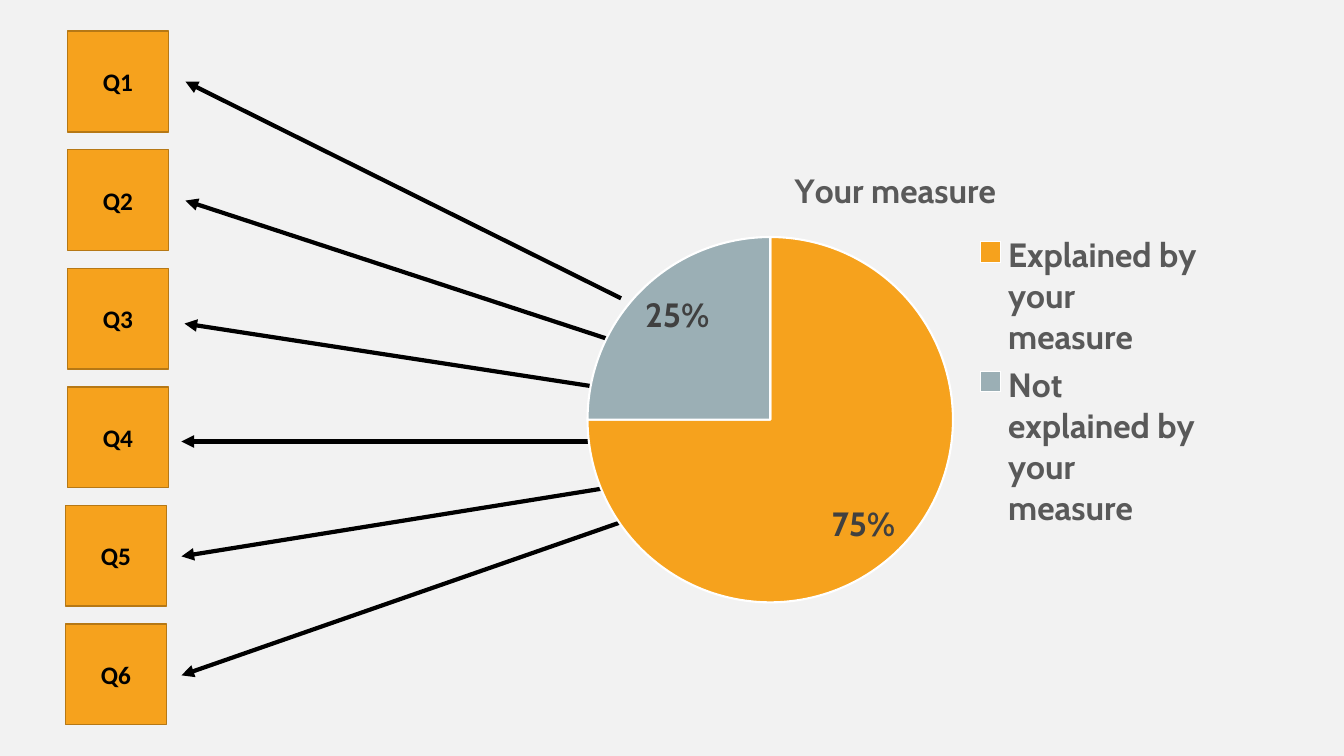
import pptx
import pptx.util
import pptx.chart.data
import pptx.dml.color
import pptx.enum.chart
import pptx.enum.shapes
import pptx.enum.text
import pptx.oxml
import pptx.oxml.ns

RGB = pptx.dml.color.RGBColor
PAPER = RGB(0xF2, 0xF2, 0xF2)
GOLD = RGB(0xF6, 0xA2, 0x1D)
BROWN = RGB(0xB6, 0x78, 0x15)
STEEL = RGB(0x9B, 0xAF, 0xB5)
BLACK = RGB(0, 0, 0)
WHITE = RGB(0xFF, 0xFF, 0xFF)
GREY = RGB(0x59, 0x59, 0x59)
DARK = RGB(0x40, 0x40, 0x40)

inch = pptx.util.Inches
point = pptx.util.Pt
WIDE, HIGH = 13.33, 7.5
ITEMS = ["Q1", "Q2", "Q3", "Q4", "Q5", "Q6"]
SHIFTS = [0, 0, 0, 0, -0.02, -0.02]
LINKS = [
    ((6.16, 2.96), (1.84, 0.81)),
    ((6.02, 3.36), (1.84, 1.99)),
    ((5.86, 3.83), (1.83, 3.21)),
    ((5.86, 4.38), (1.8, 4.38)),
    ((6.02, 4.84), (1.8, 5.52)),
    ((6.16, 5.18), (1.8, 6.7)),
]
SLICES = [
    ("Explained by your measure", 75, GOLD),
    ("Not explained by your measure", 25, STEEL),
]


def style(font, size=24, color=GREY, name="Cabin", bold=True):
    """Set the look of a font."""
    font.size = point(size)
    font.name = name
    font.bold = bold
    font.color.rgb = color


def write(frame, text, align=pptx.enum.text.PP_ALIGN.CENTER, **look):
    """Put one formatted line into a text frame."""
    para = frame.paragraphs[0]
    para.alignment = align
    run = para.add_run()
    run.text = text
    style(run.font, **look)


def add_items(slide, left, top, width, height):
    """Stack the question squares evenly down a column."""
    step = (height - width) / (len(ITEMS) - 1)
    for row, (item, shift) in enumerate(zip(ITEMS, SHIFTS)):
        box = slide.shapes.add_shape(
            pptx.enum.shapes.MSO_SHAPE.RECTANGLE,
            inch(left + shift), inch(top + row * step), inch(width), inch(width))
        box.shadow.inherit = False
        box.fill.solid()
        box.fill.fore_color.rgb = GOLD
        box.line.color.rgb = BROWN
        box.line.width = point(1)
        box.text_frame.vertical_anchor = pptx.enum.text.MSO_ANCHOR.MIDDLE
        write(box.text_frame, item, size=18, color=BLACK, name="Calibri")


def add_links(slide, left, top, width, height):
    """Draw the arrows from the pie to the squares, as shares of a box."""
    for ends in LINKS:
        spots = [(inch(left + width * x / WIDE), inch(top + height * y / HIGH))
                 for x, y in ends]
        link = slide.shapes.add_connector(
            pptx.enum.shapes.MSO_CONNECTOR.STRAIGHT, *spots[0], *spots[1])
        link.line.color.rgb = BLACK
        link.line.width = point(3)
        head = pptx.oxml.ns.qn("a:tailEnd")
        link.line._get_or_add_ln().append(
            link._element.makeelement(head, {"type": "triangle"}))
        link._element.spPr.append(
            link._element.makeelement(pptx.oxml.ns.qn("a:effectLst"), {}))


def place_plot(chart, **shares):
    """Fix the plot area at shares of the chart."""
    plot = chart._chartSpace.chart.plotArea
    for old in plot.findall(pptx.oxml.ns.qn("c:layout")):
        plot.remove(old)
    rules = {"layoutTarget": "inner", "xMode": "edge", "yMode": "edge", **shares}
    parts = "".join(f'<c:{key} val="{val}"/>' for key, val in rules.items())
    plot.insert(0, pptx.oxml.parse_xml(
        f'<c:layout {pptx.oxml.ns.nsdecls("c")}>'
        f"<c:manualLayout>{parts}</c:manualLayout></c:layout>"))


def add_pie(slide, left, top, width, height):
    """Place the pie chart with its title, labels and legend."""
    data = pptx.chart.data.CategoryChartData(number_format="General")
    data.categories = [name for name, _, _ in SLICES]
    data.add_series("Series 1", [value for _, value, _ in SLICES])
    chart = slide.shapes.add_chart(
        pptx.enum.chart.XL_CHART_TYPE.PIE,
        inch(left), inch(top), inch(width), inch(height), data).chart
    style(chart.font, size=10, color=BLACK, name="Calibri", bold=False)
    chart.has_title = True
    write(chart.chart_title.text_frame, "Your measure")
    chart.chart_title.include_in_layout = False
    chart.has_legend = True
    chart.legend.position = pptx.enum.chart.XL_LEGEND_POSITION.RIGHT
    chart.legend.include_in_layout = False
    style(chart.legend.font)
    place_plot(chart, x=0.02, y=0.19, w=0.57, h=0.78)
    pie = chart.plots[0]
    pie.vary_by_categories = True
    for spot, (_, _, color) in enumerate(SLICES):
        form = pie.series[0].points[spot].format
        form.fill.solid()
        form.fill.fore_color.rgb = color
        form.line.color.rgb = WHITE
        form.line.width = point(1.5)
    tags = pie.series[0].data_labels
    tags.show_percentage = True
    tags.show_value = False
    tags.number_format = "0%"
    tags.number_format_is_linked = False
    tags.position = pptx.enum.chart.XL_LABEL_POSITION.INSIDE_END
    style(tags.font, color=DARK)


def main():
    """Build and save the slide."""
    deck = pptx.Presentation()
    deck.slide_width, deck.slide_height = inch(WIDE), inch(HIGH)
    slide = deck.slides.add_slide(deck.slide_layouts[6])
    slide.background.fill.solid()
    slide.background.fill.fore_color.rgb = PAPER
    add_items(slide, 0.67, 0.31, 1, 6.88)
    add_links(slide, 0, 0, WIDE, HIGH)
    add_pie(slide, 5.7, 1.45, 6.36, 4.68)
    deck.save("out.pptx")


if __name__ == "__main__":
    main()
